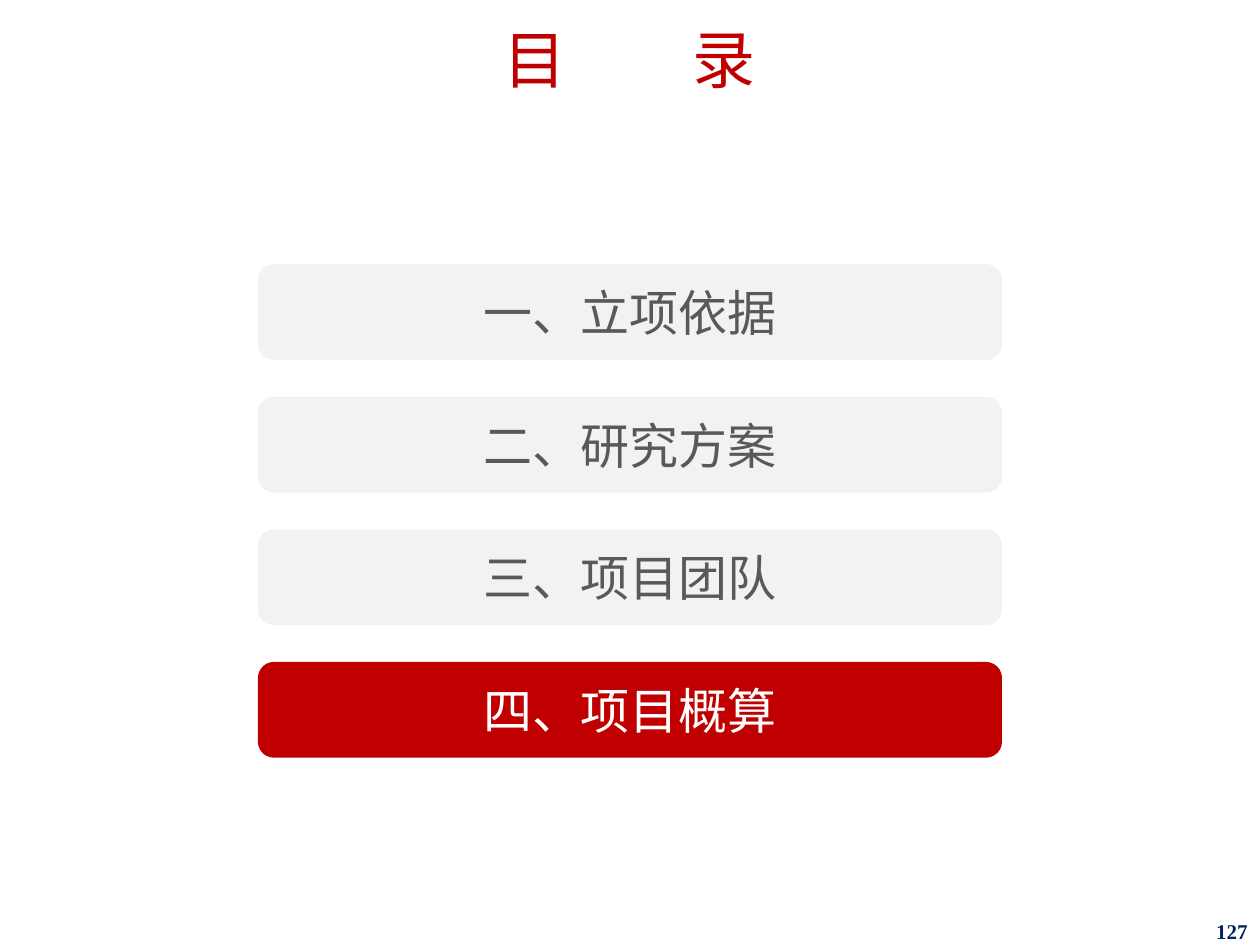
from pptx import Presentation
from pptx.dml.color import RGBColor
from pptx.enum.shapes import MSO_SHAPE as Shape
from pptx.enum.text import MSO_ANCHOR as Anchor, PP_ALIGN as Align
from pptx.util import Pt

HUES = {"red": "C00000", "navy": "002060", "pale": "F2F2F2",
        "gray": "595959", "white": "FFFFFF"}
FONT = "Times New Roman"
ITEMS = ["一、立项依据", "二、研究方案", "三、项目团队", "四、项目概算"]


def hue(name):
    """Return the named colour."""
    return RGBColor.from_string(HUES[name])


def style(shape, size, color, align, top=3.6, bold=False):
    """Format the text of a shape."""
    frame = shape.text_frame
    frame.word_wrap = True
    frame.vertical_anchor = Anchor.MIDDLE
    frame.margin_left = frame.margin_right = Pt(7.2)
    frame.margin_top, frame.margin_bottom = Pt(top), Pt(3.6)
    para = frame.paragraphs[0]
    para.alignment = align
    for run in para.runs:
        run.font.name, run.font.size = FONT, Pt(size)
        run.font.bold = bold
        run.font.color.rgb = hue(color)


def add_title(slide, left, top, width, height):
    """Place the heading with its two characters spread apart."""
    box = slide.shapes.add_textbox(Pt(left), Pt(top), Pt(width), Pt(height))
    para = box.text_frame.paragraphs[0]
    para.line_spacing = 0.9
    for char in "目录":
        para.add_run().text = char
    style(box, 36, "red", Align.CENTER, top=11.5)
    para.runs[0].font._element.set("spc", "7200")


def add_agenda(slide, left, top, width, height, items, active):
    """Stack one bar per item and highlight the active one."""
    bar = 54.72
    step = (height - bar) / (len(items) - 1)
    for i, item in enumerate(items):
        shape = slide.shapes.add_shape(
            Shape.ROUNDED_RECTANGLE, Pt(left), Pt(top + i * step),
            Pt(width), Pt(bar))
        fill, ink = ("red", "white") if i == active else ("pale", "gray")
        shape.shadow.inherit = False
        shape.fill.solid()
        shape.fill.fore_color.rgb = hue(fill)
        shape.line.fill.background()
        shape.text_frame.text = item
        style(shape, 28, ink, Align.CENTER)


def add_number(slide, left, top, width, height, number):
    """Place the page number at the right of its box."""
    box = slide.shapes.add_textbox(Pt(left), Pt(top), Pt(width), Pt(height))
    box.text_frame.text = str(number)
    style(box, 12, "navy", Align.RIGHT, bold=True)


def main():
    """Build and save the agenda slide."""
    deck = Presentation()
    deck.slide_width, deck.slide_height = Pt(720), Pt(540)
    slide = deck.slides.add_slide(deck.slide_layouts[6])
    add_title(slide, 0, 0, 720, 64)
    add_number(slide, 558, 524, 162, 16, 127)
    add_agenda(slide, 147.4, 151, 425.2, 282, ITEMS, active=3)
    deck.save("out.pptx")


if __name__ == "__main__":
    main()
